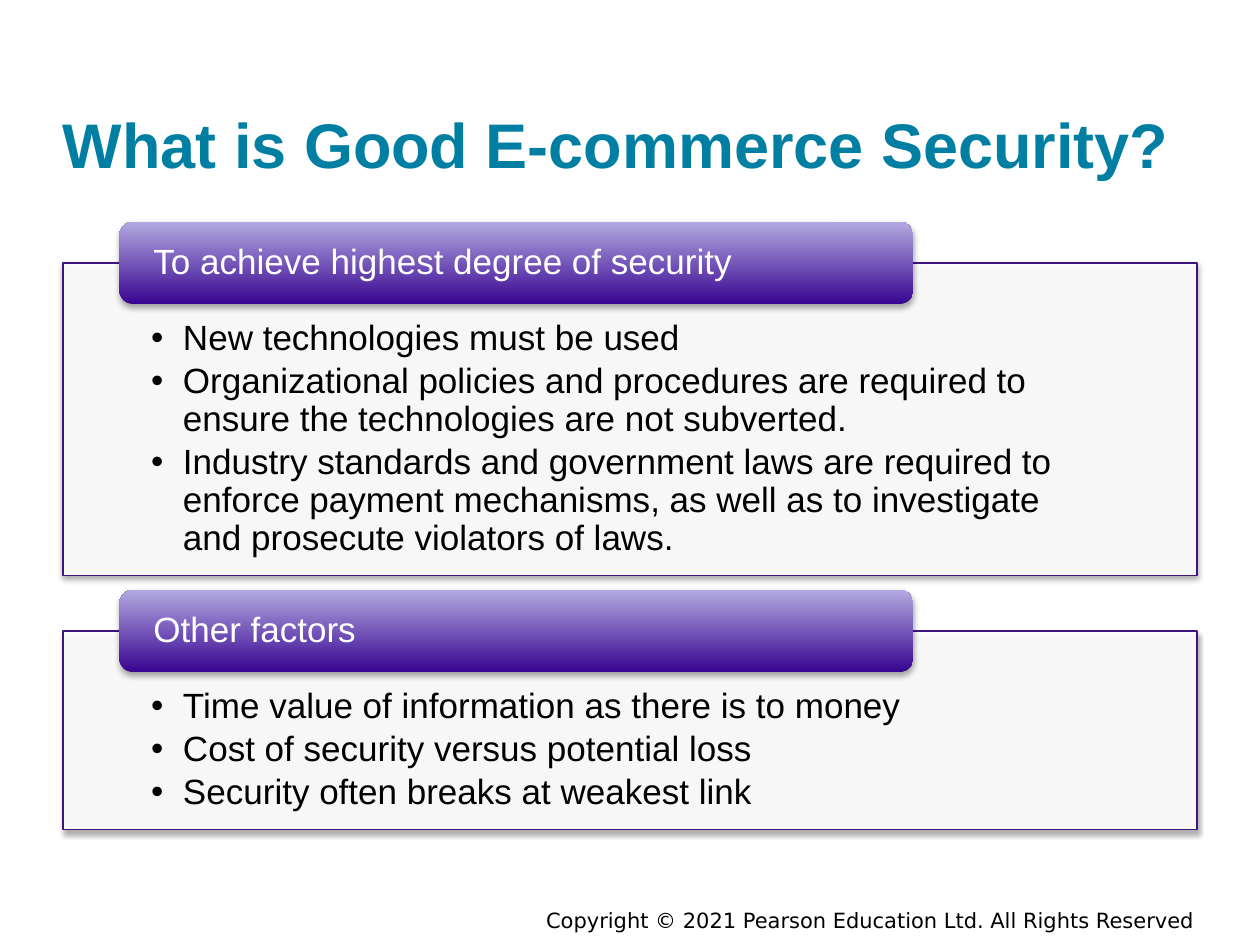
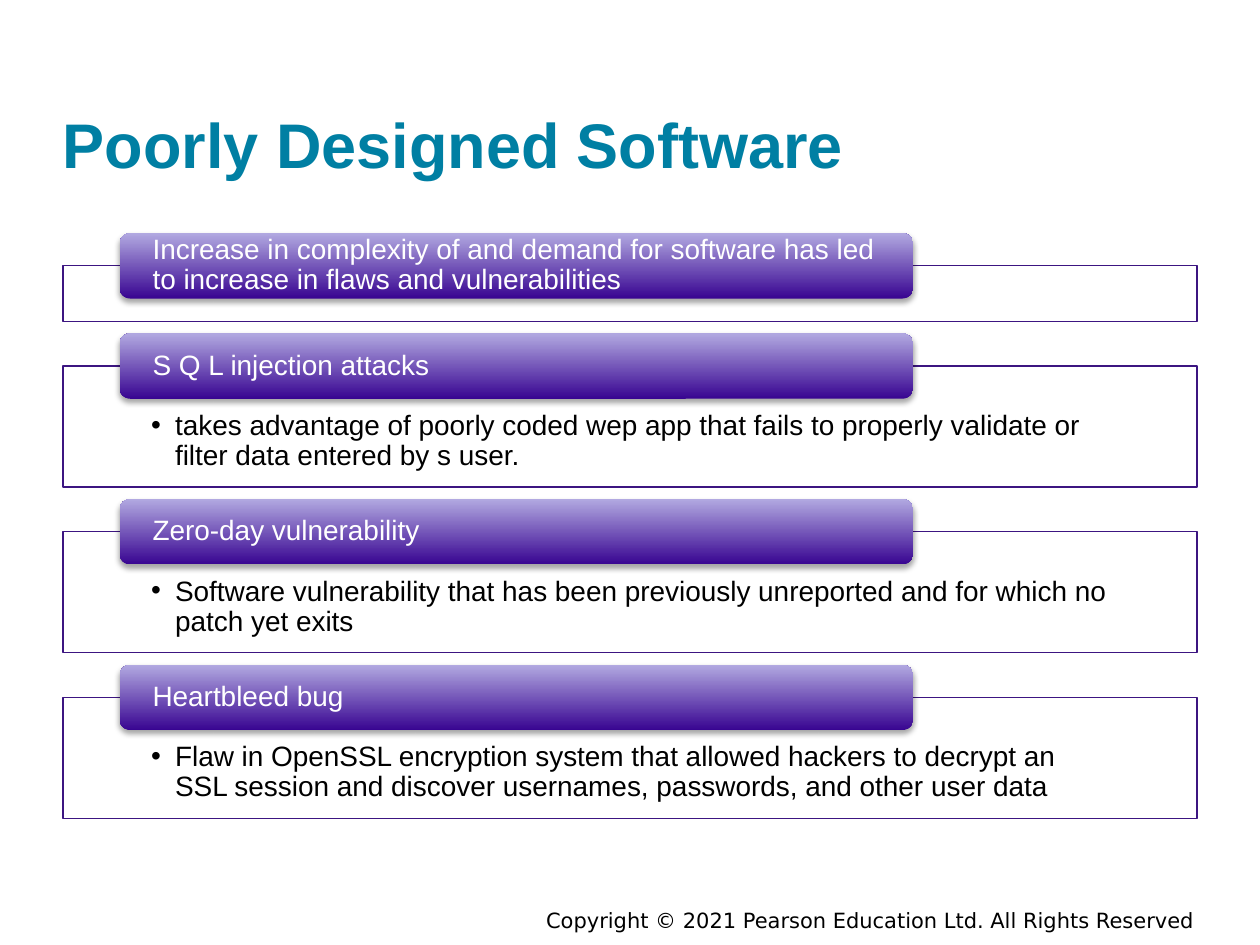
"""Build two e-commerce security slides of framed lists with gradient header tabs."""
from lxml import etree
from pptx import Presentation
from pptx.dml.color import RGBColor
from pptx.enum.shapes import MSO_SHAPE
from pptx.enum.text import MSO_ANCHOR, PP_ALIGN
from pptx.oxml.ns import qn
from pptx.util import Cm, Pt

RECT, ROUNDED = MSO_SHAPE.RECTANGLE, MSO_SHAPE.ROUNDED_RECTANGLE
TOP, MIDDLE, BOTTOM = MSO_ANCHOR.TOP, MSO_ANCHOR.MIDDLE, MSO_ANCHOR.BOTTOM
LEFT, RIGHT = PP_ALIGN.LEFT, PP_ALIGN.RIGHT

TEAL, PURPLE, LILAC, BORDER = "007FA3", "380591", "B2A9E1", "3C1581"
WHITE, BLACK = "FFFFFF", "000000"
FOOTER = "Copyright © 2021 Pearson Education Ltd. All Rights Reserved"
FRAME_LEFT, FRAME_WIDTH = 1.27, 22.86
TAB_LEFT, TAB_WIDTH = 2.41, 16

SLIDES = [
    {
        "title": "What is Good E-commerce Security?",
        "size": 20, "top": 5.3, "gap": 1.12, "tab": 1.66, "indent": 0.64,
        "insets": (1.78, 1.16, 1.78, 0.4), "frame_shadow": True,
        "sections": [
            ("To achieve highest degree of security", 6.3, [
                "New technologies must be used",
                "Organizational policies and procedures are required to ensure "
                "the technologies are not subverted.",
                "Industry standards and government laws are required to enforce "
                "payment mechanisms, as well as to investigate and prosecute "
                "violators of laws.",
            ]),
            ("Other factors", 4.01, [
                "Time value of information as there is to money",
                "Cost of security versus potential loss",
                "Security often breaks at weakest link",
            ]),
        ],
    },
    {
        "title": "Poorly Designed Software",
        "size": 16, "top": 5.36, "gap": 0.9, "tab": 1.32, "indent": 0.48,
        "insets": (1.78, 0.92, 1.78, 0.32), "frame_shadow": False,
        "sections": [
            ("Increase in complexity of and demand for software has led to "
             "increase in flaws and vulnerabilities", 1.12, []),
            ("S Q L injection attacks", 2.44, [
                "takes advantage of poorly coded wep app that fails to properly "
                "validate or filter data entered by s user.",
            ]),
            ("Zero-day vulnerability", 2.44, [
                "Software vulnerability that has been previously unreported and "
                "for which no patch yet exits",
            ]),
            ("Heartbleed bug", 2.44, [
                "Flaw in OpenSSL encryption system that allowed hackers to "
                "decrypt an SSL session and discover usernames, passwords, and "
                "other user data",
            ]),
        ],
    },
]


def rgb(value):
    return RGBColor.from_string(value)


def add_alpha(color, percent):
    etree.SubElement(color, qn("a:alpha"), val=str(percent * 1000))


def add_shadow(sp):
    effects = sp._element.spPr.find(qn("a:effectLst"))
    outer = etree.SubElement(effects, qn("a:outerShdw"), blurRad="40000",
                             dist="23000", dir="5400000", rotWithShape="0")
    add_alpha(etree.SubElement(outer, qn("a:srgbClr"), val=BLACK), 35)


def add_bullet(p, indent):
    pPr = p._p.get_or_add_pPr()
    pPr.set("marL", str(Cm(indent)))
    pPr.set("indent", str(-Cm(indent)))
    etree.SubElement(pPr, qn("a:buFont"), typeface="Arial")
    etree.SubElement(pPr, qn("a:buChar"), char="•")


def add_text(s, box, lines, size, color=BLACK, font="Arial", bold=False,
             align=LEFT, anchor=TOP, insets=(0, 0, 0, 0), spacing=1.0,
             after=0, indent=None):
    tf = s.shapes.add_textbox(*map(Cm, box)).text_frame
    tf.word_wrap = True
    tf.vertical_anchor = anchor
    tf.margin_left, tf.margin_top, tf.margin_right, tf.margin_bottom = map(Cm, insets)
    for i, line in enumerate(lines):
        p = tf.add_paragraph() if i else tf.paragraphs[0]
        if indent:
            add_bullet(p, indent)
        p.alignment = align
        p.line_spacing = spacing
        p.space_after = Pt(after)
        r = p.add_run()
        r.text = line
        r.font.name, r.font.size, r.font.bold = font, Pt(size), bold
        r.font.color.rgb = rgb(color)


def add_frame(s, box, shadow):
    sp = s.shapes.add_shape(RECT, *map(Cm, box))
    sp.shadow.inherit = False
    sp.fill.solid()
    sp.fill.fore_color.rgb = rgb(WHITE)
    add_alpha(sp._element.spPr.find(".//" + qn("a:srgbClr")), 90)
    sp.line.color.rgb = rgb(BORDER)
    sp.line.width = Pt(0.75)
    if shadow:
        add_shadow(sp)


def add_tab(s, box):
    sp = s.shapes.add_shape(ROUNDED, *map(Cm, box))
    sp.shadow.inherit = False
    sp.fill.gradient()
    sp.fill.gradient_angle = 90
    for stop, color in zip(sp.fill.gradient_stops, (PURPLE, LILAC)):
        stop.color.rgb = rgb(color)
    sp.line.fill.background()
    add_shadow(sp)


def add_sections(s, data):
    size, tab, top = data["size"], data["tab"], data["top"]
    edge = tab * 0.05
    for heading, height, points in data["sections"]:
        frame = (FRAME_LEFT, top, FRAME_WIDTH, height)
        tab_top = top - tab / 2
        add_frame(s, frame, data["frame_shadow"])
        if points:
            add_text(s, frame, points, size, insets=data["insets"], spacing=0.9,
                     after=size * 0.15, indent=data["indent"])
        add_tab(s, (TAB_LEFT, tab_top, TAB_WIDTH, tab))
        inner = (TAB_LEFT + edge, tab_top + edge, TAB_WIDTH - 2 * edge, tab - 2 * edge)
        add_text(s, inner, [heading], size, WHITE, anchor=MIDDLE,
                 insets=(0.6, 0, 0.6, 0), spacing=0.9)
        top += height + data["gap"]


def main():
    prs = Presentation()
    prs.slide_width, prs.slide_height = Cm(25.4), Cm(19.05)
    for data in SLIDES:
        s = prs.slides.add_slide(prs.slide_layouts[6])
        add_text(s, (7.52, 18.03, 16.81, 1.02), [FOOTER], 12, font="DejaVu Sans",
                 align=RIGHT, anchor=MIDDLE, insets=(0.25, 0.13, 0.25, 0.13))
        add_text(s, (FRAME_LEFT, 0.61, FRAME_WIDTH, 3.05), [data["title"]], 36,
                 TEAL, bold=True, anchor=BOTTOM)
        add_sections(s, data)
    prs.save("out.pptx")


if __name__ == "__main__":
    main()
